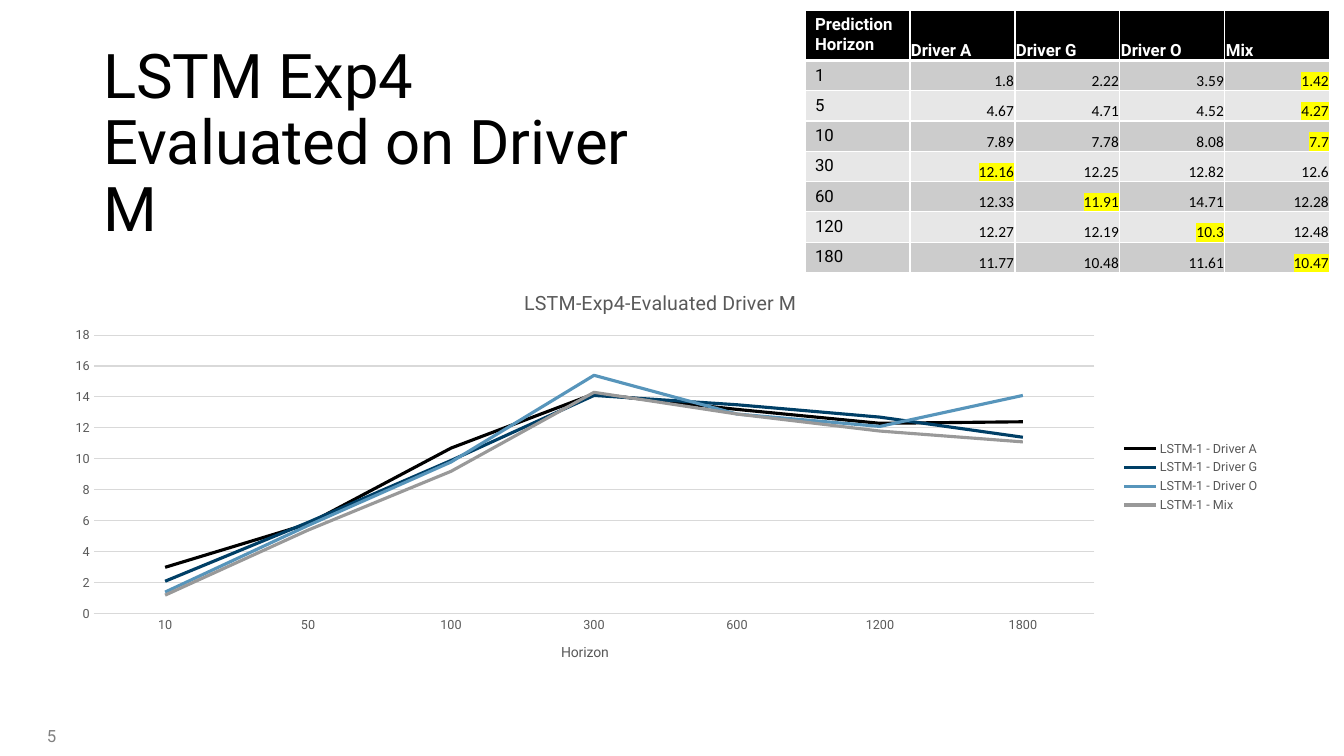
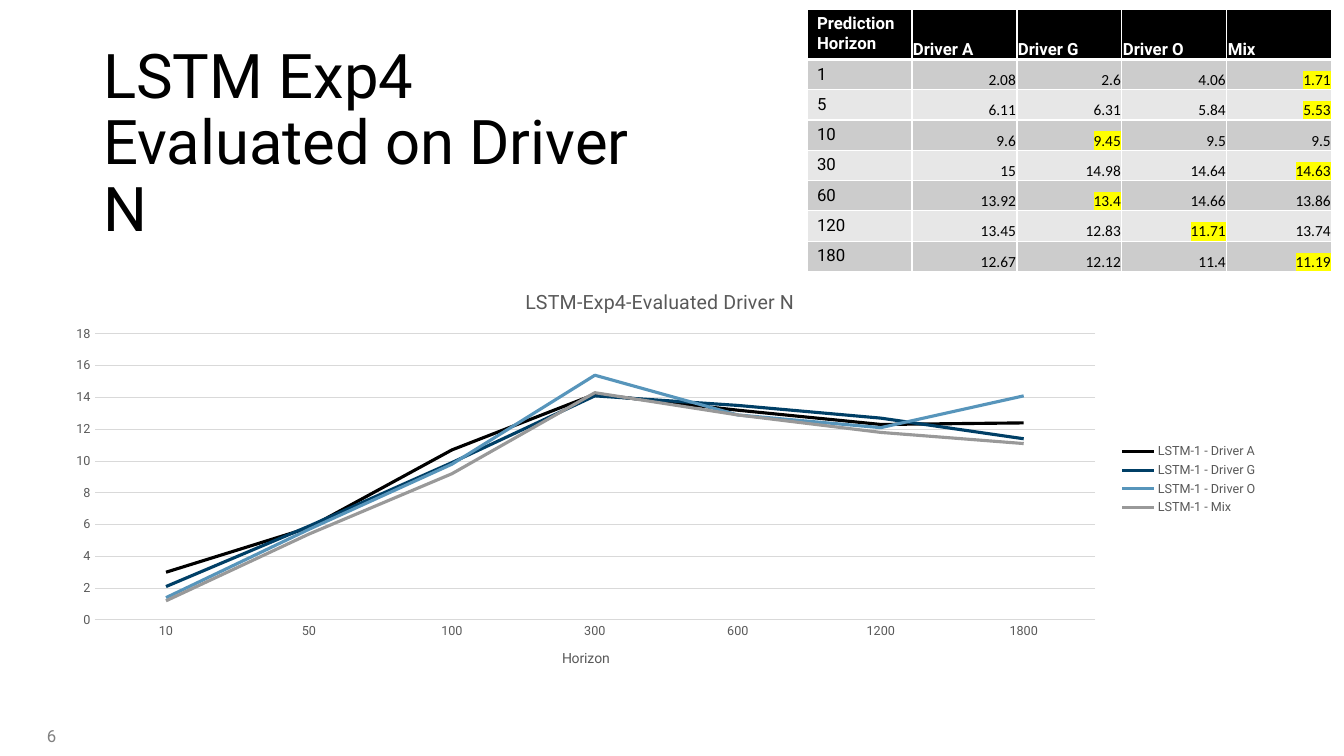
from lxml import etree
from pptx import Presentation
from pptx.chart.data import CategoryChartData
from pptx.dml.color import RGBColor
from pptx.enum.chart import XL_CHART_TYPE, XL_LEGEND_POSITION, XL_TICK_MARK
from pptx.enum.text import MSO_ANCHOR, MSO_AUTO_SIZE, PP_ALIGN
from pptx.oxml.ns import qn
from pptx.util import Emu, Pt

LINE_CHART = XL_CHART_TYPE.LINE
LEGEND_RIGHT = XL_LEGEND_POSITION.RIGHT
NO_TICK = XL_TICK_MARK.NONE
TOP, MIDDLE, BOTTOM = MSO_ANCHOR.TOP, MSO_ANCHOR.MIDDLE, MSO_ANCHOR.BOTTOM
LEFT, RIGHT = PP_ALIGN.LEFT, PP_ALIGN.RIGHT
NO_FIT = MSO_AUTO_SIZE.NONE

PX_PER_INCH = 100.8
TITLE_ONLY = 5
HEADING_FONT = "Roboto"
NUMBER_FONT = "Calibri"

BLACK = RGBColor(0x00, 0x00, 0x00)
WHITE = RGBColor(0xFF, 0xFF, 0xFF)
YELLOW = RGBColor(0xFF, 0xFF, 0x00)
NAVY = RGBColor(0x00, 0x3F, 0x66)
SKY = RGBColor(0x57, 0x95, 0xBB)
GRAY = RGBColor(0x99, 0x99, 0x99)
NUMBER_GRAY = RGBColor(0x80, 0x80, 0x80)
LABEL_GRAY = RGBColor(0x59, 0x59, 0x59)
GRID_GRAY = RGBColor(0xD9, 0xD9, 0xD9)
DARK_BAND = RGBColor(0xCC, 0xCC, 0xCC)
LIGHT_BAND = RGBColor(0xE7, 0xE7, 0xE7)

HEADER = ("Prediction Horizon", "Driver A", "Driver G", "Driver O", "Mix")
HORIZONS = (1, 5, 10, 30, 60, 120, 180)
STEPS = ("10", "50", "100", "300", "600", "1200", "1800")
CURVES = (
    ("LSTM-1 - Driver A", BLACK, (3, 5.8, 10.7, 14.2, 13.2, 12.3, 12.4)),
    ("LSTM-1 - Driver G", NAVY, (2.1, 5.9, 9.9, 14.1, 13.5, 12.7, 11.4)),
    ("LSTM-1 - Driver O", SKY, (1.4, 5.7, 9.8, 15.4, 12.9, 12.1, 14.1)),
    ("LSTM-1 - Mix", GRAY, (1.2, 5.4, 9.2, 14.3, 12.9, 11.8, 11.1)),
)
ERRORS_M = (
    (1.8, 2.22, 3.59, 1.42),
    (4.67, 4.71, 4.52, 4.27),
    (7.89, 7.78, 8.08, 7.7),
    (12.16, 12.25, 12.82, 12.6),
    (12.33, 11.91, 14.71, 12.28),
    (12.27, 12.19, 10.3, 12.48),
    (11.77, 10.48, 11.61, 10.47),
)
ERRORS_N = (
    (2.08, 2.6, 4.06, 1.71),
    (6.11, 6.31, 5.84, 5.53),
    (9.6, 9.45, 9.5, 9.5),
    (15, 14.98, 14.64, 14.63),
    (13.92, 13.4, 14.66, 13.86),
    (13.45, 12.83, 11.71, 13.74),
    (12.67, 12.12, 11.4, 11.19),
)


def px(length):
    return Emu(round(length * 914400 / PX_PER_INCH))


def style_font(font, size, color, name=HEADING_FONT, bold=False):
    font.size, font.name, font.bold = Pt(size), name, bold
    font.color.rgb = color


def add_run(frame, text, *style, **options):
    run = frame.paragraphs[0].add_run()
    run.text = text
    style_font(run.font, *style, **options)
    return run


def highlight(run):
    mark = etree.Element(qn("a:highlight"))
    etree.SubElement(mark, qn("a:srgbClr"), val=str(YELLOW))
    run.font._element.find(qn("a:latin")).addprevious(mark)


def set_borders(cell, top, bottom):
    """Draw white borders; top and bottom are widths in points."""
    properties = cell._tc.get_or_add_tcPr()
    for place, (side, width) in enumerate(zip("LRTB", (1, 1, top, bottom))):
        line = etree.Element(qn(f"a:ln{side}"), w=str(Pt(width)))
        fill = etree.SubElement(line, qn("a:solidFill"))
        etree.SubElement(fill, qn("a:srgbClr"), val=str(WHITE))
        properties.insert(place, line)


def place_plot(chart, **shares):
    """Fix the inner plot area, given as shares of the chart's size."""
    plot_area = chart._chartSpace.chart.plotArea
    for old in plot_area.findall(qn("c:layout")):
        plot_area.remove(old)
    layout = etree.Element(qn("c:layout"))
    manual = etree.SubElement(layout, qn("c:manualLayout"))
    settings = {"layoutTarget": "inner", "xMode": "edge", "yMode": "edge", **shares}
    for tag, value in settings.items():
        etree.SubElement(manual, qn(f"c:{tag}"), val=str(value))
    plot_area.insert(0, layout)


class Deck:
    def __init__(self):
        self.prs = Presentation()
        self.prs.slide_width, self.prs.slide_height = px(1344), px(756)
        self.slide = None

    def new_slide(self, title, number):
        self.slide = self.prs.slides.add_slide(self.prs.slide_layouts[TITLE_ONLY])
        self.title(title)
        self.slide_number(number)

    def title(self, text):
        heading = self.slide.shapes.title
        heading.left, heading.top = px(93), px(40)
        heading.width, heading.height = px(591), px(146)
        frame = heading.text_frame
        frame.word_wrap, frame.auto_size = True, NO_FIT
        frame.vertical_anchor = TOP
        frame.paragraphs[0].alignment = LEFT
        frame.paragraphs[0].line_spacing = 0.9
        add_run(frame, text, 44, BLACK)

    def slide_number(self, number):
        box = self.slide.shapes.add_textbox(px(37), px(721), px(72), px(30))
        box.text_frame.word_wrap = True
        box.text_frame.vertical_anchor = MIDDLE
        add_run(box.text_frame, str(number), 12, NUMBER_GRAY)

    def error_table(self, left, top, errors):
        """Add the errors by horizon, with the lowest of each row marked."""
        table = self.slide.shapes.add_table(
            len(errors) + 1, len(HEADER), px(left), px(top), px(525), px(225)).table
        table.horz_banding = False
        for column in table.columns:
            column.width = px(105)
        for index, row in enumerate(table.rows):
            row.height = px(26 if index else 43)
        for column, label in enumerate(HEADER):
            run = self.cell(table, 0, column, label, 12, WHITE, bold=True)
        for row, (horizon, values) in enumerate(zip(HORIZONS, errors), 1):
            self.cell(table, row, 0, str(horizon), 12, BLACK)
            for column, value in enumerate(values, 1):
                run = self.cell(table, row, column, str(value), 11, BLACK, name=NUMBER_FONT)
                if value == min(values):
                    highlight(run)

    def cell(self, table, row, column, text, *style, **options):
        cell = table.cell(row, column)
        cell.fill.solid()
        band = DARK_BAND if row % 2 else LIGHT_BAND
        cell.fill.fore_color.rgb = band if row else BLACK
        set_borders(cell, top=3 if row == 1 else 1, bottom=1 if row else 3)
        if column:
            cell.vertical_anchor = BOTTOM
            cell.margin_left = cell.margin_right = cell.margin_top = px(1)
            cell.margin_bottom = 0
            cell.text_frame.paragraphs[0].alignment = RIGHT if row else LEFT
        return add_run(cell.text_frame, text, *style, **options)

    def horizon_chart(self, title, left, top, width, height, plot_height):
        data = CategoryChartData()
        data.categories = STEPS
        for name, _, values in CURVES:
            data.add_series(name, values)
        chart = self.slide.shapes.add_chart(
            LINE_CHART, px(left), px(top), px(width), px(height), data).chart
        style_font(chart.font, 10, BLACK)
        chart.has_title = True
        add_run(chart.chart_title.text_frame, title, 14, LABEL_GRAY)
        chart.chart_title.include_in_layout = False
        chart.has_legend = True
        chart.legend.position = LEGEND_RIGHT
        chart.legend.include_in_layout = False
        style_font(chart.legend.font, 9, LABEL_GRAY)
        chart.plots[0].vary_by_categories = False
        for series, (_, color, _) in zip(chart.plots[0].series, CURVES):
            series.smooth = False
            series.format.line.width = Pt(2.25)
            series.format.line.color.rgb = color
        self.axes(chart)
        place_plot(chart, x=round(43 / width, 3), y=round(63 / height, 3),
                   w=round(1001 / width, 3), h=round(plot_height / height, 3))

    def axes(self, chart):
        steps, errors = chart.category_axis, chart.value_axis
        for axis in (steps, errors):
            axis.major_tick_mark = axis.minor_tick_mark = NO_TICK
            style_font(axis.tick_labels.font, 9, LABEL_GRAY)
        add_run(steps.axis_title.text_frame, "Horizon", 10, LABEL_GRAY)
        errors.minimum_scale, errors.maximum_scale, errors.major_unit = 0, 18, 2
        errors.format.line.fill.background()
        for line in (steps.format.line, errors.major_gridlines.format.line):
            line.width = Pt(0.75)
            line.color.rgb = GRID_GRAY


def main():
    deck = Deck()
    evaluations = (
        ("M", 5, (51, 272, 1219, 410, 279), (805, 10), ERRORS_M),
        ("N", 6, (52, 271, 1216, 417, 286), (807, 9), ERRORS_N),
    )
    for driver, number, chart_area, table_corner, errors in evaluations:
        deck.new_slide(f"LSTM Exp4 Evaluated on Driver {driver}", number)
        deck.horizon_chart(f"LSTM-Exp4-Evaluated Driver {driver}", *chart_area)
        deck.error_table(*table_corner, errors)
    deck.prs.save("out.pptx")


if __name__ == "__main__":
    main()
